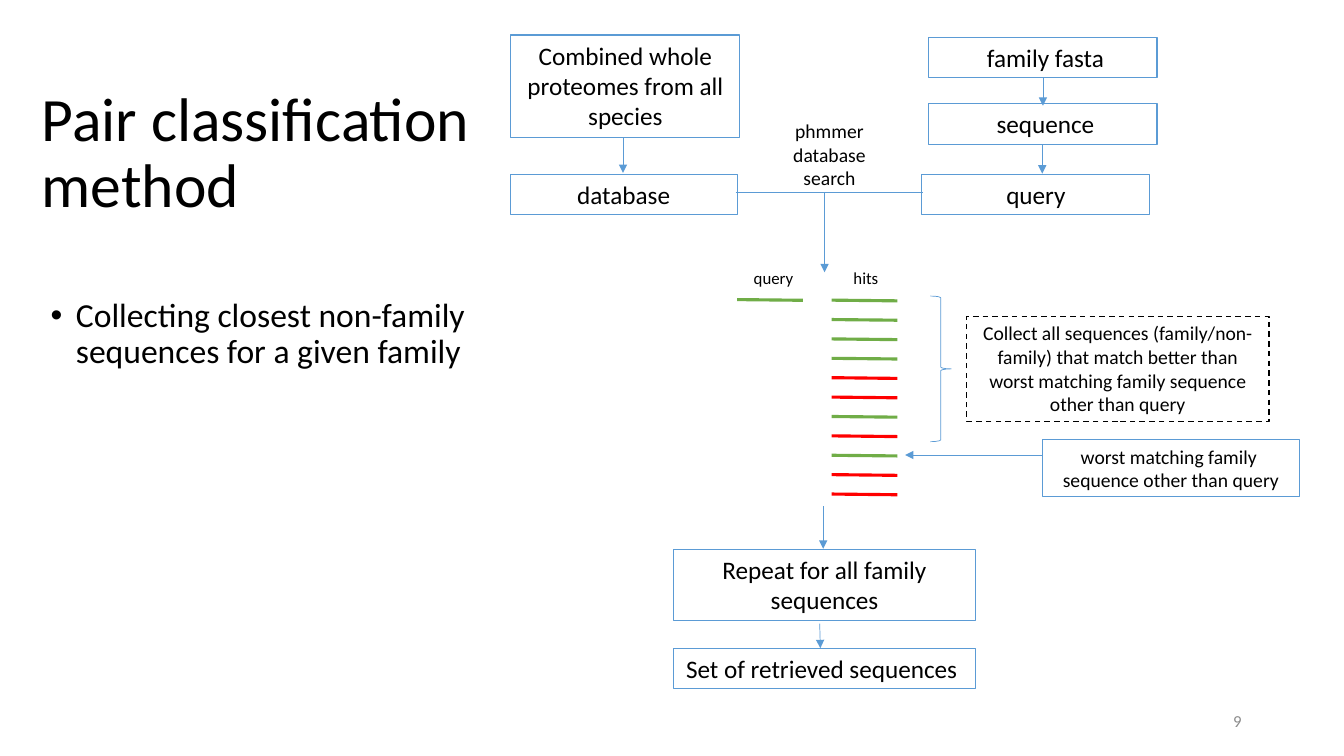
from dataclasses import dataclass
from typing import Optional

import lxml.etree
import pptx
import pptx.dml.color
import pptx.enum.dml
import pptx.enum.shapes
import pptx.enum.text
import pptx.oxml.ns
import pptx.util

Pt = pptx.util.Pt
SHAPE = pptx.enum.shapes.MSO_SHAPE
ALIGN = pptx.enum.text.PP_ALIGN
ANCHOR = pptx.enum.text.MSO_ANCHOR
DASH = pptx.enum.dml.MSO_LINE.DASH

COLORS = {
    "text": "000000",
    "flow": "5B9BD5",
    "family": "70AD47",
    "other": "FF0000",
    "number": "8C8C8C",
}


@dataclass
class Label:
    text: str
    left: float
    top: float
    width: float
    height: float
    size: float = 18
    color: str = "text"
    align: ALIGN = ALIGN.CENTER
    anchor: ANCHOR = ANCHOR.TOP


@dataclass
class Box(Label):
    border: str = "flow"
    border_width: float = 0.75
    dash: Optional[DASH] = None


@dataclass
class Link:
    x1: float
    y1: float
    x2: float
    y2: float
    color: str = "flow"
    width: float = 0.5
    arrow: bool = True


BOXES = [
    Box("Combined whole proteomes from all species", 365, 25, 163.5, 73),
    Box("database", 364.5, 124.5, 162, 29),
    Box(" family fasta", 663, 26.5, 163.5, 29),
    Box(" sequence", 663, 74, 163.5, 29),
    Box("query", 658.5, 124.5, 163, 29),
    Box("Collect all sequences (family/non-family) that match better than "
        "worst matching family sequence other than query",
        690.5, 226, 216, 75, size=14, border="text", border_width=1, dash=DASH),
    Box("worst matching family \nsequence other than query", 745, 314, 183, 41, size=14),
    Box("Repeat for all family sequences", 481, 392.5, 216, 51),
    Box("Set of retrieved sequences ", 481, 463, 216, 29),
]

LABELS = [
    Label("phmmer database search", 557.5, 81.5, 70, 58, size=14),
    Label("query", 528, 188, 49, 21.5, size=12),
    Label("hits", 594, 188, 49, 21.5, size=12),
    Label("9", 678, 500, 216, 29, size=12, color="number",
          align=ALIGN.RIGHT, anchor=ANCHOR.MIDDLE),
]

LINKS = [
    Link(445, 98, 445, 123.5),
    Link(745, 56, 745, 75.5),
    Link(744.5, 103.5, 744.5, 124),
    Link(525.5, 137.5, 659.5, 137.5, arrow=False),
    Link(589, 137.5, 589, 194.5),
    Link(744.5, 325, 646.5, 325),
    Link(588, 361.5, 588, 392),
    Link(585.5, 445.5, 586, 463),
]

# Ranked hits: g = family sequence, r = non-family sequence
HIT_ORDER = "ggggrrgrgrr"
HIT_TOP, HIT_STEP, HIT_WIDTH = 214.4, 13.85, 47


def rgb(name: str) -> pptx.dml.color.RGBColor:
    return pptx.dml.color.RGBColor.from_string(COLORS[name])


def apply_format(target, values: dict) -> None:
    for attribute, value in values.items():
        setattr(target, attribute, value)


def style_line(line, color: str, width: float) -> None:
    line.color.rgb = rgb(color)
    line.width = Pt(width)


def write_text(shape, label: Label) -> None:
    frame = shape.text_frame
    apply_format(frame, {"text": label.text, "word_wrap": True,
                         "vertical_anchor": label.anchor})
    for paragraph in frame.paragraphs:
        paragraph.alignment = label.align
        apply_format(paragraph.font, {"name": "Calibri", "size": Pt(label.size)})
        paragraph.font.color.rgb = rgb(label.color)


def place(label: Label) -> tuple:
    return tuple(Pt(n) for n in (label.left, label.top, label.width, label.height))


def draw_box(slide, box: Box) -> None:
    shape = slide.shapes.add_shape(SHAPE.RECTANGLE, *place(box))
    shape.shadow.inherit = False
    shape.fill.background()
    style_line(shape.line, box.border, box.border_width)
    if box.dash:
        shape.line.dash_style = box.dash
    write_text(shape, box)


def draw_label(slide, label: Label) -> None:
    write_text(slide.shapes.add_textbox(*place(label)), label)


def draw_link(slide, link: Link) -> None:
    connector = slide.shapes.add_connector(
        pptx.enum.shapes.MSO_CONNECTOR.STRAIGHT,
        Pt(link.x1), Pt(link.y1), Pt(link.x2), Pt(link.y2))
    style_line(connector.line, link.color, link.width)
    qn = pptx.oxml.ns.qn
    if link.arrow:
        outline = connector.line._get_or_add_ln()
        lxml.etree.SubElement(outline, qn("a:tailEnd"), type="triangle")
    lxml.etree.SubElement(connector._element.spPr, qn("a:effectLst"))


def fill_placeholder(shape, label: Label) -> None:
    write_text(shape, label)
    left, top, width, height = place(label)
    apply_format(shape, {"left": left, "top": top, "width": width, "height": height})
    shape.text_frame.auto_size = pptx.enum.text.MSO_AUTO_SIZE.NONE
    apply_format(shape.text_frame.paragraphs[0],
                 {"line_spacing": 0.9, "space_before": Pt(0)})


def main() -> None:
    deck = pptx.Presentation()
    apply_format(deck, {"slide_width": Pt(960), "slide_height": Pt(540)})
    slide = deck.slides.add_slide(deck.slide_layouts[1])

    # Title and bullet
    fill_placeholder(slide.shapes.title, Label(
        "Pair classification method", 22.5, 44.5, 354, 132, size=44,
        align=ALIGN.LEFT, anchor=ANCHOR.MIDDLE))
    bullet = slide.placeholders[1]
    fill_placeholder(bullet, Label(
        "Collecting closest non-family sequences for a given family",
        29, 209.5, 362, 279, size=24, align=ALIGN.LEFT))
    indent = bullet.text_frame.paragraphs[0]._p.get_or_add_pPr()
    indent.set("marL", str(Pt(18)))
    indent.set("indent", str(Pt(-18)))

    # Flow chart
    for box in BOXES:
        draw_box(slide, box)
    for link in LINKS:
        draw_link(slide, link)

    # Query sequence and its ranked hits
    draw_link(slide, Link(526.5, 214, 573.5, 214.5, "family", 2.25, False))
    for rank, kind in enumerate(HIT_ORDER):
        y = HIT_TOP + rank * HIT_STEP
        draw_link(slide, Link(594, y, 594 + HIT_WIDTH, y + 0.5,
                              "family" if kind == "g" else "other", 2.25, False))

    # Brace around the collected hits
    brace = slide.shapes.add_shape(SHAPE.RIGHT_BRACE, Pt(664.5), Pt(211.5), Pt(15), Pt(104))
    brace.shadow.inherit = False
    brace.fill.background()
    style_line(brace.line, "flow", 0.5)

    # Captions and slide number
    for label in LABELS:
        draw_label(slide, label)

    deck.save("out.pptx")


if __name__ == "__main__":
    main()
